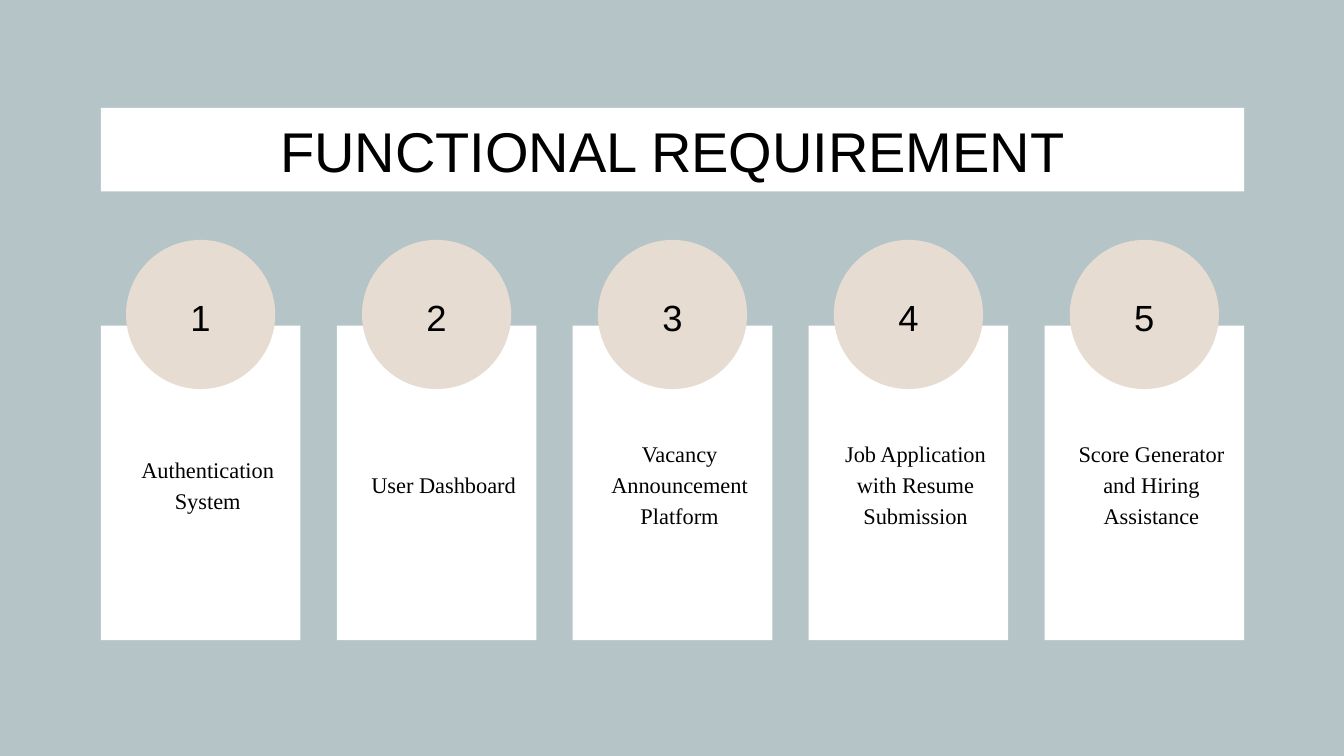
from dataclasses import dataclass
from pptx import Presentation
from pptx.dml.color import RGBColor as RGB
from pptx.enum.shapes import MSO_SHAPE as Shape
from pptx.enum.text import MSO_ANCHOR as Anchor, PP_ALIGN as Align
from pptx.util import Inches, Pt


@dataclass(frozen=True)
class Theme:
    back: str = "B5C4C7"
    panel: str = "FFFFFF"
    badge: str = "E6DCD2"
    ink: str = "000000"
    sans: str = "Arial"
    serif: str = "Times New Roman"
    title: int = 40
    number: int = 26
    body: int = 16


theme = Theme()
requirements = [
    "Authentication System",
    "User Dashboard",
    "Vacancy Announcement Platform",
    "Job Application with Resume Submission",
    "Score Generator and Hiring Assistance",
]
slide_w, slide_h = 13.33, 7.5
margin, card_w, badge_d = 1, 1.98, 1.48
content_w = 11.34
pitch = (content_w - card_w) / (len(requirements) - 1)

prs = Presentation()
prs.slide_width, prs.slide_height = Inches(slide_w), Inches(slide_h)
s = prs.slides.add_slide(prs.slide_layouts[6])
s.background.fill.solid()
s.background.fill.fore_color.rgb = RGB.from_string(theme.back)


def add_panel(kind, x, y, w, h, color):
    sp = s.shapes.add_shape(kind, *map(Inches, (x, y, w, h)))
    sp.shadow.inherit = False
    sp.fill.solid()
    sp.fill.fore_color.rgb = RGB.from_string(color)
    sp.line.fill.background()
    return sp


def set_text(sp, text, font, size, spacing=1.0, indent=0):
    tf = sp.text_frame
    tf.text = text
    tf.word_wrap = True
    tf.vertical_anchor = Anchor.MIDDLE
    tf.margin_left = tf.margin_right = tf.margin_top = tf.margin_bottom = Inches(0.13)
    p = tf.paragraphs[0]
    p.alignment = Align.CENTER
    p.line_spacing = spacing
    p._p.get_or_add_pPr().set("marL", str(Inches(indent)))
    r = p.runs[0]
    r.font.name, r.font.size = font, Pt(size)
    r.font.color.rgb = RGB.from_string(theme.ink)


sp = add_panel(Shape.RECTANGLE, margin, 1.07, content_w, 0.83, theme.panel)
set_text(sp, "FUNCTIONAL REQUIREMENT", theme.sans, theme.title)

for i, requirement in enumerate(requirements):
    x = margin + i * pitch
    sp = add_panel(Shape.RECTANGLE, x, 3.23, card_w, 3.12, theme.panel)
    set_text(sp, requirement, theme.serif, theme.body, 1.15, 0.14)
    add_panel(Shape.OVAL, x + (card_w - badge_d) / 2, 2.38, badge_d, badge_d, theme.badge)
    tb = s.shapes.add_textbox(*map(Inches, (x, 2.78, card_w, 0.66)))
    set_text(tb, str(i + 1), theme.sans, theme.number, 1.15)

prs.save("out.pptx")
